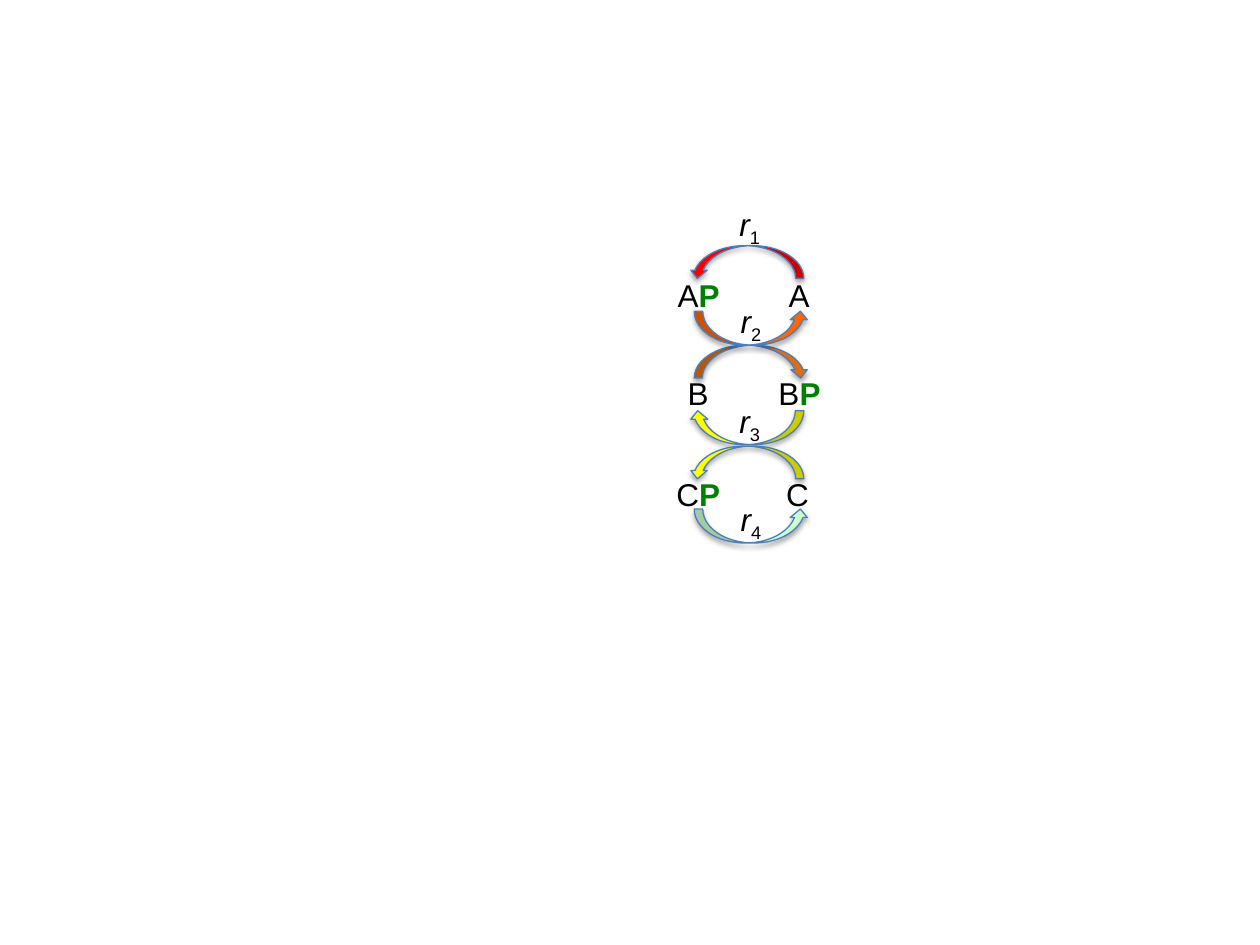
from dataclasses import dataclass

from lxml.etree import SubElement
from pptx import Presentation
from pptx.dml.color import RGBColor
from pptx.enum.shapes import MSO_SHAPE as Shape
from pptx.enum.text import MSO_AUTO_SIZE as AutoSize, PP_ALIGN as Align
from pptx.oxml.ns import qn
from pptx.shapes.shapetree import GroupShapes
from pptx.text.text import _Paragraph as Paragraph, _Run as Run
from pptx.util import Inches, Pt

BLACK = RGBColor(0x00, 0x00, 0x00)
GREEN = RGBColor(0x00, 0x80, 0x00)
BLUE = RGBColor(0x4B, 0x7E, 0xBC)
RED = RGBColor(0xFF, 0x00, 0x00)
DARK_ORANGE = RGBColor(0xE4, 0x6C, 0x0A)
ORANGE = RGBColor(0xFF, 0x66, 0x00)
YELLOW = RGBColor(0xFF, 0xFF, 0x00)
MINT = RGBColor(0xCC, 0xFF, 0xCC)

LABEL_HEIGHT = 0.4
RATE_WIDTH = 0.4
ARROW_WIDTH = 0.91
RIGHTWARD_LEFT = 5.51
LEFTWARD_LEFT = 5.47


@dataclass(frozen=True)
class Species:
    name: str
    left: float
    top: float
    phosphorylated: bool = False


@dataclass(frozen=True)
class Arrow:
    top: float
    fill: RGBColor
    over: bool
    leftward: bool = False


@dataclass(frozen=True)
class Rate:
    index: str
    left: float
    top: float


SPECIES = [
    Species("A", 5.28, 2.14, True),
    Species("A", 6.16, 2.14),
    Species("B", 5.36, 2.92),
    Species("B", 6.08, 2.92, True),
    Species("C", 5.27, 3.72, True),
    Species("C", 6.14, 3.72),
]
ARROWS = [
    Arrow(2.74, DARK_ORANGE, over=True),
    Arrow(1.95, RED, over=True, leftward=True),
    Arrow(3.26, YELLOW, over=False, leftward=True),
    Arrow(2.47, ORANGE, over=False),
    Arrow(3.54, YELLOW, over=True, leftward=True),
    Arrow(4.04, MINT, over=False),
]
RATES = [
    Rate("1", 5.75, 1.58),
    Rate("2", 5.76, 2.35),
    Rate("3", 5.75, 3.14),
    Rate("4", 5.76, 3.92),
]


def add_label(shapes: GroupShapes, left: float, top: float, width: float) -> Paragraph:
    box = shapes.add_textbox(Inches(left), Inches(top), Inches(width), Inches(LABEL_HEIGHT))
    box.text_frame.word_wrap = False
    box.text_frame.auto_size = AutoSize.SHAPE_TO_FIT_TEXT
    return box.text_frame.paragraphs[0]


def add_span(para: Paragraph, text: str, color: RGBColor = BLACK,
             bold: bool = False, italic: bool = False) -> Run:
    span = para.add_run()
    span.text = text
    span.font.name = "Arial"
    span.font.size = Pt(18)
    span.font.bold = bold
    span.font.italic = italic
    span.font.color.rgb = color
    return span


def draw_species(shapes: GroupShapes, species: Species) -> None:
    width = 0.55 if species.phosphorylated else 0.38
    para = add_label(shapes, species.left, species.top, width)
    add_span(para, species.name)
    if species.phosphorylated:
        add_span(para, "P", GREEN, bold=True)


def draw_rate(shapes: GroupShapes, rate: Rate) -> None:
    para = add_label(shapes, rate.left, rate.top, RATE_WIDTH)
    para.alignment = Align.CENTER
    add_span(para, "r", italic=True)
    subscript = add_span(para, rate.index)
    subscript._r.get_or_add_rPr().set("baseline", "-25000")


def draw_arrow(shapes: GroupShapes, arrow: Arrow) -> None:
    kind = Shape.CURVED_DOWN_ARROW if arrow.over else Shape.CURVED_UP_ARROW
    left = LEFTWARD_LEFT if arrow.leftward else RIGHTWARD_LEFT
    height = 0.26 if arrow.over else 0.27
    shape = shapes.add_shape(kind, Inches(left), Inches(arrow.top),
                             Inches(ARROW_WIDTH), Inches(height))
    shape.fill.solid()
    shape.fill.fore_color.rgb = arrow.fill
    shape.line.color.rgb = BLUE
    shape.line.width = Pt(0.75)
    properties = shape._element.spPr
    if arrow.leftward:
        properties.find(qn("a:xfrm")).set("flipH", "1")
    shape.shadow.inherit = False
    shadow = SubElement(properties.find(qn("a:effectLst")), qn("a:outerShdw"),
                        blurRad=str(Pt(3.1)), dist=str(Pt(1.8)),
                        dir="5400000", rotWithShape="0")
    color = SubElement(shadow, qn("a:srgbClr"), val=str(BLACK))
    SubElement(color, qn("a:alpha"), val="35000")


def main() -> None:
    deck = Presentation()
    deck.slide_width = Inches(10)
    deck.slide_height = Inches(7.5)
    page = deck.slides.add_slide(deck.slide_layouts[6])
    shapes = page.shapes.add_group_shape().shapes
    for species in SPECIES:
        draw_species(shapes, species)
    for arrow in ARROWS:
        draw_arrow(shapes, arrow)
    for rate in RATES:
        draw_rate(shapes, rate)
    deck.save("out.pptx")


if __name__ == "__main__":
    main()
